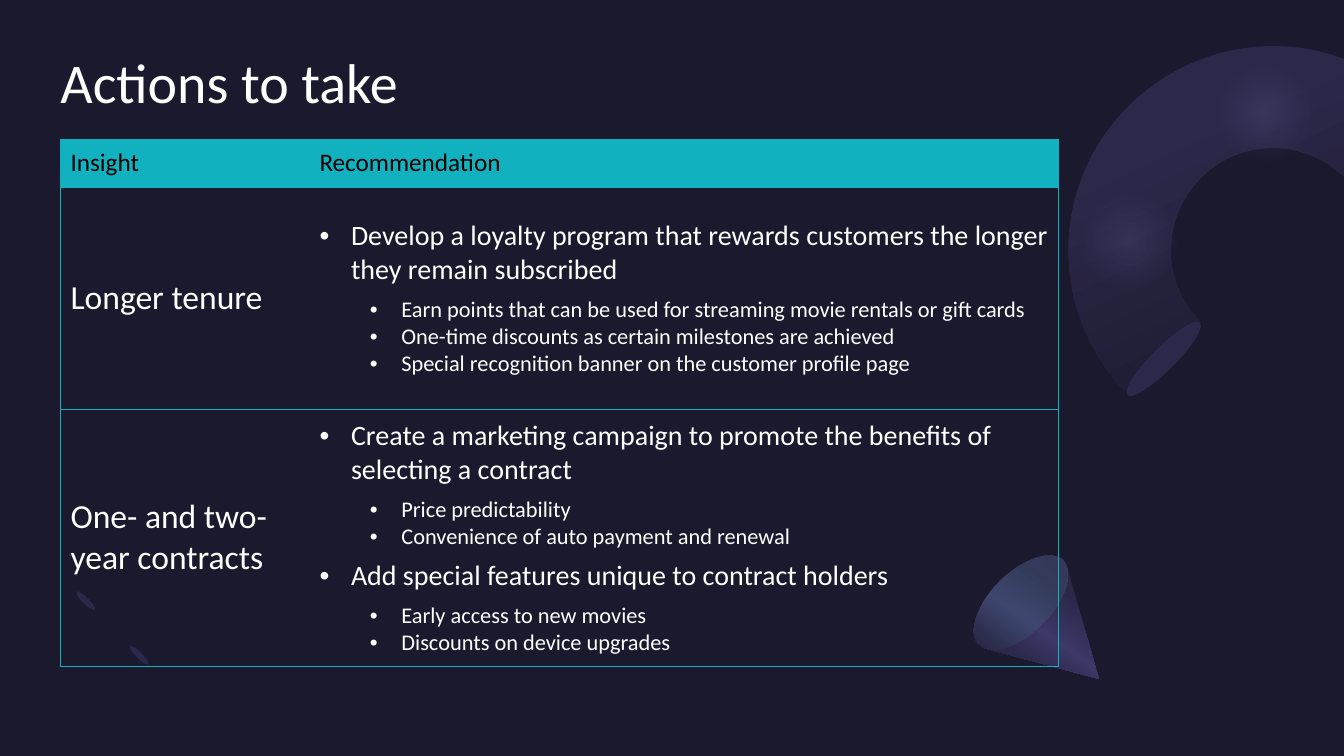
from dataclasses import dataclass

from lxml import etree
from pptx import Presentation
from pptx.dml.color import RGBColor
from pptx.enum import shapes, text
from pptx.oxml import ns
from pptx.util import Pt


@dataclass(frozen=True)
class Theme:
    font: str = "Calibri"
    night: str = "1B192E"
    plum: str = "2C284A"
    violet: str = "3C3867"
    lilac: str = "7771B2"
    indigo: str = "454075"
    mint: str = "5BEFC1"
    teal: str = "12B1BF"
    white: str = "FFFFFF"
    black: str = "000000"
    title: int = 40
    insight: int = 24
    action: int = 20
    header: int = 18
    detail: int = 16


THEME = Theme()
INCH = 72
PLAIN_TABLE = "{2D5ABB26-0587-4C30-8999-92F81FD0307C}"

RING = [(11.19, 3.92), (10.4, 3.13, 10.4, 1.84, 11.19, 1.05),
        (11.74, 0.51, 12.52, 0.34, 13.21, 0.54), (13.33, 0.58),
        (13.33, 1.75), (13.19, 1.64), (12.79, 1.38, 12.26, 1.42, 11.91, 1.77),
        (11.52, 2.16, 11.52, 2.8, 11.91, 3.2)]
CONE = [(10.9, 6.74), (9.77, 6.43), (9.71, 6.39),
        (9.6, 6.28, 9.69, 6, 9.92, 5.77), (10.15, 5.54, 10.43, 5.44, 10.55, 5.56),
        (10.58, 5.61)]
SMALL_RING = [(0.76, 6.59), (0.56, 6.39, 0.56, 6.07, 0.76, 5.87), (0.94, 6.05),
              (0.84, 6.15, 0.84, 6.31, 0.94, 6.41),
              (1.03, 6.51, 1.2, 6.51, 1.29, 6.41), (1.47, 6.59),
              (1.28, 6.79, 0.95, 6.79, 0.76, 6.59)]

HEADERS = ["Insight", "Recommendation"]
INSIGHTS = [
    ("Longer tenure", [
        ("Develop a loyalty program that rewards customers the longer they remain subscribed",
         ["Earn points that can be used for streaming movie rentals or gift cards",
          "One-time discounts as certain milestones are achieved",
          "Special recognition banner on the customer profile page"])]),
    ("One- and two-year contracts", [
        ("Create a marketing campaign to promote the benefits of selecting a contract",
         ["Price predictability", "Convenience of auto payment and renewal"]),
        ("Add special features unique to contract holders",
         ["Early access to new movies", "Discounts on device upgrades"])]),
]


def inches(value):
    return Pt(round(value * INCH, 2))


def rgb(color):
    return RGBColor.from_string(color)


def child(parent, tag, **attributes):
    return etree.SubElement(parent, ns.qn(tag), attributes)


def paint(shape, color):
    shape.shadow.inherit = False
    shape.line.fill.background()
    shape.fill.solid()
    shape.fill.fore_color.rgb = rgb(color)


def paint_gradient(shape, stops, angle=None):
    paint(shape, stops[0][1])
    solid = shape._element.spPr.find(ns.qn("a:solidFill"))
    gradient = etree.Element(ns.qn("a:gradFill"), {"rotWithShape": "1"})
    stop_list = child(gradient, "a:gsLst")
    for position, color, opacity in stops:
        stop = child(stop_list, "a:gs", pos=str(position * 1000))
        tint = child(stop, "a:srgbClr", val=color)
        if opacity < 100:
            child(tint, "a:alpha", val=str(opacity * 1000))
    if angle is None:
        center = child(gradient, "a:path", path="circle")
        child(center, "a:fillToRect", l="50000", t="50000", r="50000", b="50000")
    else:
        child(gradient, "a:lin", ang=str(angle * 60000), scaled="0")
    solid.getparent().replace(solid, gradient)


def add_outline(slide, segments):
    points = [(segment[i] * INCH, segment[i + 1] * INCH)
              for segment in segments for i in range(0, len(segment), 2)]
    builder = slide.shapes.build_freeform(*points[0], scale=Pt(1))
    builder.add_line_segments(points[1:], close=True)
    outline = builder.convert_to_shape()
    lines = iter(list(outline._element.iter(ns.qn("a:lnTo"))))
    for segment in segments[1:]:
        first = next(lines)
        if len(segment) == 6:
            curve = etree.Element(ns.qn("a:cubicBezTo"))
            first.addprevious(curve)
            for line in (first, next(lines), next(lines)):
                curve.append(line[0])
                line.getparent().remove(line)
    return outline


def add_ellipse(slide, left, top, width, height, rotation=0):
    ellipse = slide.shapes.add_shape(shapes.MSO_SHAPE.OVAL,
                                     *map(inches, (left, top, width, height)))
    ellipse.rotation = rotation
    return ellipse


def add_decor(slide):
    paint_gradient(add_outline(slide, RING),
                   [(31, THEME.plum, 100), (97, THEME.night, 100)], 65)
    for left, top in ((12.03, 0.6), (10.68, 1.87)):
        paint_gradient(add_ellipse(slide, left, top, 1.05, 1.05),
                       [(0, THEME.lilac, 18), (66, THEME.lilac, 0), (100, THEME.lilac, 0)])
    paint(add_ellipse(slide, 11.43, 3.05, 0.23, 1.02, 225), THEME.plum)
    paint_gradient(add_outline(slide, CONE),
                   [(30, THEME.plum, 100), (55, THEME.violet, 100),
                    (75, THEME.plum, 100), (100, THEME.night, 100)], 125)
    paint_gradient(add_ellipse(slide, 9.83, 5.39, 0.59, 1.18, 225),
                   [(0, THEME.indigo, 33), (100, THEME.mint, 0)], 270)
    paint(add_outline(slide, SMALL_RING), THEME.night)
    for left, top in ((1.35, 6.37), (0.82, 5.83)):
        paint(add_ellipse(slide, left, top, 0.06, 0.26, 135), THEME.plum)


def format_text(paragraph, size, color):
    for run in paragraph.runs:
        run.font.name = THEME.font
        run.font.size = Pt(size)
        run.font.bold = False
        run.font.color.rgb = rgb(color)


def add_title(slide, wording):
    title = slide.shapes.title
    title.left, title.top, title.width, title.height = map(inches, (0.6, 0.55, 8.71, 1.59))
    frame = title.text_frame
    frame.text = wording
    frame.auto_size = text.MSO_AUTO_SIZE.NONE
    frame.vertical_anchor = text.MSO_ANCHOR.TOP
    frame.margin_left = frame.margin_top = frame.margin_right = frame.margin_bottom = 0
    heading = frame.paragraphs[0]
    heading.alignment = text.PP_ALIGN.LEFT
    heading.line_spacing = 0.9
    format_text(heading, THEME.title, THEME.white)


def set_borders(cell, sides):
    properties = cell._tc.get_or_add_tcPr()
    for index, side in enumerate(side for side in "LRTB" if side in sides):
        border = etree.Element(ns.qn(f"a:ln{side}"), {"w": str(Pt(0.5))})
        child(child(border, "a:solidFill"), "a:srgbClr", val=THEME.teal)
        properties.insert(index, border)


def write_bullet(paragraph, wording, level):
    paragraph.text = wording
    paragraph.level = level
    properties = paragraph._p.get_or_add_pPr()
    properties.set("marL", str(Pt(22.5 + 36 * level)))
    properties.set("indent", str(Pt(-22.5)))
    child(properties, "a:buFont", typeface="Arial")
    child(properties, "a:buChar", char="•")
    format_text(paragraph, THEME.detail if level else THEME.action, THEME.white)


def write_actions(cell, actions):
    frame = cell.text_frame
    for index, (action, details) in enumerate(actions):
        paragraph = frame.add_paragraph() if index else frame.paragraphs[0]
        write_bullet(paragraph, action, 0)
        paragraph.space_after = Pt(6)
        if index:
            paragraph.space_before = Pt(6)
        for detail in details:
            write_bullet(frame.add_paragraph(), detail, 1)


def write_label(cell, wording, size, color):
    cell.text_frame.text = wording
    format_text(cell.text_frame.paragraphs[0], size, color)


def add_recommendations(slide):
    table = slide.shapes.add_table(len(INSIGHTS) + 1, 2,
                                   *map(inches, (0.6, 1.38, 9.9, 5.23))).table
    table._tbl.tblPr.find(ns.qn("a:tableStyleId")).text = PLAIN_TABLE
    table.horz_banding = False
    for column, width in zip(table.columns, (2.47, 7.43)):
        column.width = inches(width)
    for row, height in zip(table.rows, (0.48, 2.2, 2.55)):
        row.height = inches(height)
    for cell, header in zip(table.rows[0].cells, HEADERS):
        write_label(cell, header, THEME.header, THEME.black)
    for row, (insight, actions) in enumerate(INSIGHTS, 1):
        write_label(table.cell(row, 0), insight, THEME.insight, THEME.white)
        write_actions(table.cell(row, 1), actions)
    for index, row in enumerate(table.rows):
        for cell, side in zip(row.cells, "LR"):
            cell.vertical_anchor = text.MSO_ANCHOR.MIDDLE
            if index:
                cell.fill.background()
            else:
                cell.fill.solid()
                cell.fill.fore_color.rgb = rgb(THEME.teal)
            set_borders(cell, side + "TB")


def main():
    deck = Presentation()
    deck.slide_width, deck.slide_height = Pt(960), Pt(540)
    slide = deck.slides.add_slide(deck.slide_layouts[5])
    slide.background.fill.solid()
    slide.background.fill.fore_color.rgb = rgb(THEME.night)
    add_decor(slide)
    add_title(slide, "Actions to take")
    add_recommendations(slide)
    deck.save("out.pptx")


if __name__ == "__main__":
    main()
